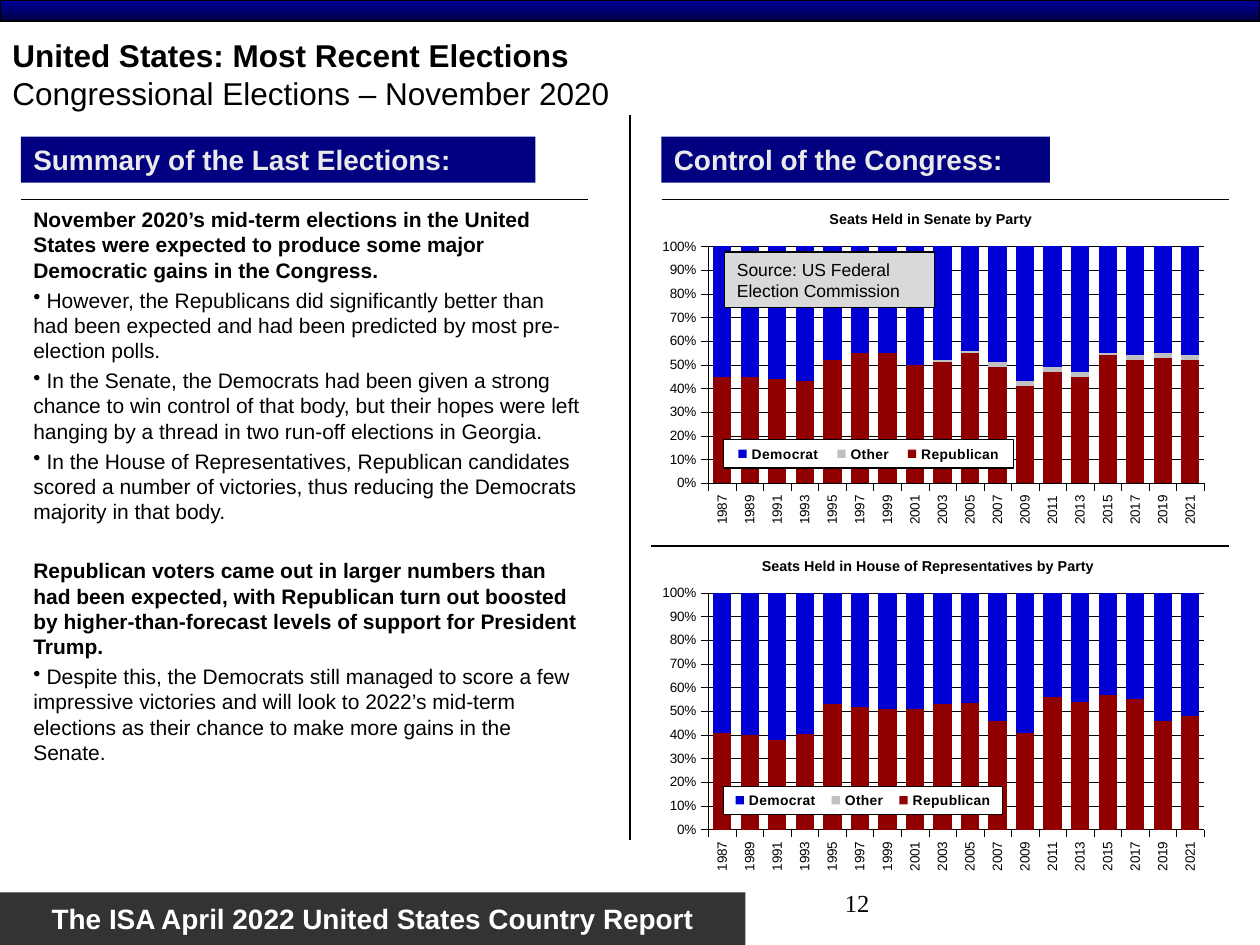
from lxml import etree
from pptx import Presentation, util as u
from pptx.chart.data import CategoryChartData
from pptx.dml.color import RGBColor
from pptx.enum import chart as ch, shapes, text
from pptx.oxml import parse_xml
from pptx.oxml.ns import nsdecls, qn

COLS, ROWS = 120, 90
YEARS = [str(y) for y in range(1987, 2022, 2)]
PARTIES = {"Republican": "900000", "Other": "C0C0C0", "Democrat": "0000D4"}
SENATE = [
    [45, 45, 44, 43, 52, 55, 55, 50, 51, 55, 49, 41, 47, 45, 54, 52, 53, 52],
    [0] * 8 + [1, 1, 2, 2, 2, 2, 1, 2, 2, 2],
    [55, 55, 56, 57, 48, 45, 45, 50, 48, 44, 49, 57, 51, 53, 45, 46, 45, 46],
]
HOUSE = [
    [41, 40, 38, 40, 53, 52, 51, 51, 53, 53, 46, 41, 56, 54, 57, 55, 46, 48],
    [0] * 18,
    [59, 60, 62, 59, 47, 48, 49, 49, 47, 46, 54, 59, 44, 46, 43, 45, 54, 52],
]
STORY = [
    ("November 2020’s mid-term elections in the United States were expected to "
     "produce some major Democratic gains in the Congress.", [
         "However, the Republicans did significantly better than had been expected "
         "and had been predicted by most pre-election polls.",
         "In the Senate, the Democrats had been given a strong chance to win control "
         "of that body, but their hopes were left hanging by a thread in two run-off "
         "elections in Georgia.",
         "In the House of Representatives, Republican candidates scored a number of "
         "victories, thus reducing the Democrats majority in that body."]),
    ("Republican voters came out in larger numbers than had been expected, with "
     "Republican turn out boosted by higher-than-forecast levels of support for "
     "President Trump.", [
         "Despite this, the Democrats still managed to score a few impressive "
         "victories and will look to 2022’s mid-term elections as their chance to "
         "make more gains in the Senate."]),
]

prs = Presentation()
prs.slide_width, prs.slide_height = u.Inches(10), u.Inches(7.5)
slide = prs.slides.add_slide(prs.slide_layouts[6])


def rgb(code):
    """Turn a hex string into a colour."""
    return RGBColor.from_string(code)


def grid(box):
    """Turn columns and rows into slide lengths."""
    wide, high = prs.slide_width / COLS, prs.slide_height / ROWS
    return [round(n * unit) for n, unit in zip(box, (wide, high) * 2)]


def style(font, size, color="000000", bold=False, name="Arial"):
    """Set the looks of a font."""
    font.size, font.bold, font.name = u.Pt(size), bold, name
    font.color.rgb = rgb(color)


def stroke(line, width=0.75):
    """Draw a black line of a given width."""
    line.color.rgb, line.width = rgb("000000"), u.Pt(width)


def panel(box, fill=None, edge=False):
    """Add a flat rectangle."""
    rect = slide.shapes.add_shape(shapes.MSO_SHAPE.RECTANGLE, *grid(box))
    rect.shadow.inherit = False
    if fill:
        rect.fill.solid()
        rect.fill.fore_color.rgb = rgb(fill)
    if edge:
        stroke(rect.line)
    else:
        rect.line.fill.background()
    return rect


def label(shape, words, size, color="000000", bold=False, align="LEFT", wrap=True):
    """Write one centred-height paragraph in a shape."""
    frame = shape.text_frame
    frame.word_wrap, frame.vertical_anchor = wrap, text.MSO_ANCHOR.MIDDLE
    para = frame.paragraphs[0]
    para.text, para.alignment = words, text.PP_ALIGN[align]
    style(para.font, size, color, bold)


def rule(*ends):
    """Draw a thin straight line between two grid points."""
    line = slide.shapes.add_connector(shapes.MSO_CONNECTOR.STRAIGHT, *grid(ends))
    stroke(line.line)
    etree.SubElement(line._element.spPr, qn("a:effectLst"))


def header(bar, box):
    """Place the top bar and the two-line title."""
    band = panel(bar, edge=True)
    band.fill.gradient()
    band.fill.gradient_angle = 270
    for stop, (at, code) in zip(band.fill.gradient_stops, ((0, "000099"), (1, "000047"))):
        stop.position, stop.color.rgb = at, rgb(code)
    frame = slide.shapes.add_textbox(*grid(box)).text_frame
    frame.word_wrap, frame.vertical_anchor = True, text.MSO_ANCHOR.MIDDLE
    para = frame.paragraphs[0]
    lines = "United States: Most Recent Elections", "Congressional Elections – November 2020"
    for i, words in enumerate(lines):
        if i:
            para.add_line_break()
        run = para.add_run()
        run.text = words
        style(run.font, 18, bold=not i)


def footer(bar, box):
    """Place the report name and the page number."""
    label(panel(bar, "333333"), "The ISA April 2022 United States Country Report",
          16, "FFFFFF", True, "CENTER", False)
    para = slide.shapes.add_textbox(*grid(box)).text_frame.paragraphs[0]
    para.text, para.alignment = "12", text.PP_ALIGN.RIGHT
    style(para.font, 14, name="Times New Roman")


def heading(words, box, span):
    """Place a section banner with a rule below it."""
    left, top = box[:2]
    label(panel(box, "000080"), words, 16, "EAEAEA", True)
    rule(left, top + 6, left + span, top + 6)


def summary(box):
    """Write the claims and their bulleted details."""
    frame = slide.shapes.add_textbox(*grid(box)).text_frame
    frame.word_wrap = True
    for i, (claim, points) in enumerate(STORY):
        para = frame.add_paragraph() if i else frame.paragraphs[0]
        para.text = claim
        para.space_before = u.Pt(19.5 if i else 0)
        style(para.font, 12, bold=True)
        for point in points:
            para = frame.add_paragraph()
            para.text, para.space_before = " " + point, u.Pt(2.8)
            etree.SubElement(para._p.get_or_add_pPr(), qn("a:buChar"), char="•")
            style(para.font, 12)


def layout(part, index, inner=False, **sizes):
    """Fix a chart part at shares of the chart's size."""
    for old in part.findall(qn("c:layout")):
        part.remove(old)
    node = etree.Element(qn("c:layout"))
    spot = etree.SubElement(node, qn("c:manualLayout"))
    if inner:
        etree.SubElement(spot, qn("c:layoutTarget"), val="inner")
    for mode in ("xMode", "yMode"):
        etree.SubElement(spot, qn("c:" + mode), val="edge")
    for key, share in sizes.items():
        etree.SubElement(spot, qn("c:" + key), val=str(share))
    part.insert(index, node)


def seats(title, rows, box, left, span):
    """Place a chart of party shares by year."""
    data = CategoryChartData()
    data.categories = YEARS
    for name, vals in zip(PARTIES, rows):
        data.add_series(name, vals)
    chart = slide.shapes.add_chart(ch.XL_CHART_TYPE.COLUMN_STACKED_100, *grid(box), data).chart
    style(chart.font, 6.8, bold=True)
    head = chart.chart_title
    head.text_frame.text = title
    style(head.text_frame.paragraphs[0].font, 8.2, bold=True)
    layout(head._element, 1, x=left, y=0.03)
    plot = chart.plots[0]
    plot.gap_width, plot.overlap, plot.vary_by_categories = 50, 100, False
    for bar, code in zip(plot.series, PARTIES.values()):
        bar.format.fill.solid()
        bar.format.fill.fore_color.rgb = rgb(code)
    for axis in (chart.category_axis, chart.value_axis):
        axis.major_tick_mark = ch.XL_TICK_MARK.OUTSIDE
        stroke(axis.format.line, 0.25)
        style(axis.tick_labels.font, 7.7, bold=axis is chart.category_axis)
    turn = chart.category_axis._element.find(qn("c:txPr")).find(qn("a:bodyPr"))
    turn.set("rot", "-5400000")
    turn.set("vert", "horz")
    axis.major_unit, axis.minimum_scale, axis.maximum_scale = 0.1, 0, 1
    axis.tick_labels.number_format, axis.tick_labels.number_format_is_linked = "0%", False
    stroke(axis.major_gridlines.format.line, 0.25)
    layout(chart._chartSpace.chart.plotArea, 0, True, x=0.09, y=0.135, w=0.88, h=0.637)
    chart.has_legend = True
    key = chart.legend
    key.position, key.include_in_layout = ch.XL_LEGEND_POSITION.RIGHT, False
    style(key.font, 7.9, bold=True)
    layout(key._element, 1, x=0.117, y=0.655, w=span, h=0.076)
    key._element.find(qn("c:txPr")).addprevious(parse_xml(
        f'<c:spPr {nsdecls("c", "a")}><a:solidFill><a:srgbClr val="FFFFFF"/></a:solidFill>'
        '<a:ln w="9525"><a:solidFill><a:srgbClr val="000000"/></a:solidFill></a:ln></c:spPr>'))


header((0, 0, COLS, 2), (0, 3, 87, 8))
footer((0, 85, 71, 5), (59, 84, 25, 6))
summary((2, 19.1, 54.7, 65))
rule(60, 11, 60, 80)
heading("Summary of the Last Elections:", (2, 13, 49, 4.4), 54)
heading("Control of the Congress:", (63, 13, 37, 4.4), 54)
seats("Seats Held in Senate by Party", SENATE, (62.65, 18.7, 53.65, 35.4), 0.3, 0.515)
seats("Seats Held in House of Representatives by Party", HOUSE,
      (62.65, 51.7, 53.65, 35.4), 0.18, 0.495)
rule(62, 52, 117, 52)
label(panel((69, 24, 20, 5.3), "D9D9D9", True), "Source: US Federal Election Commission", 10)
prs.save("out.pptx")
